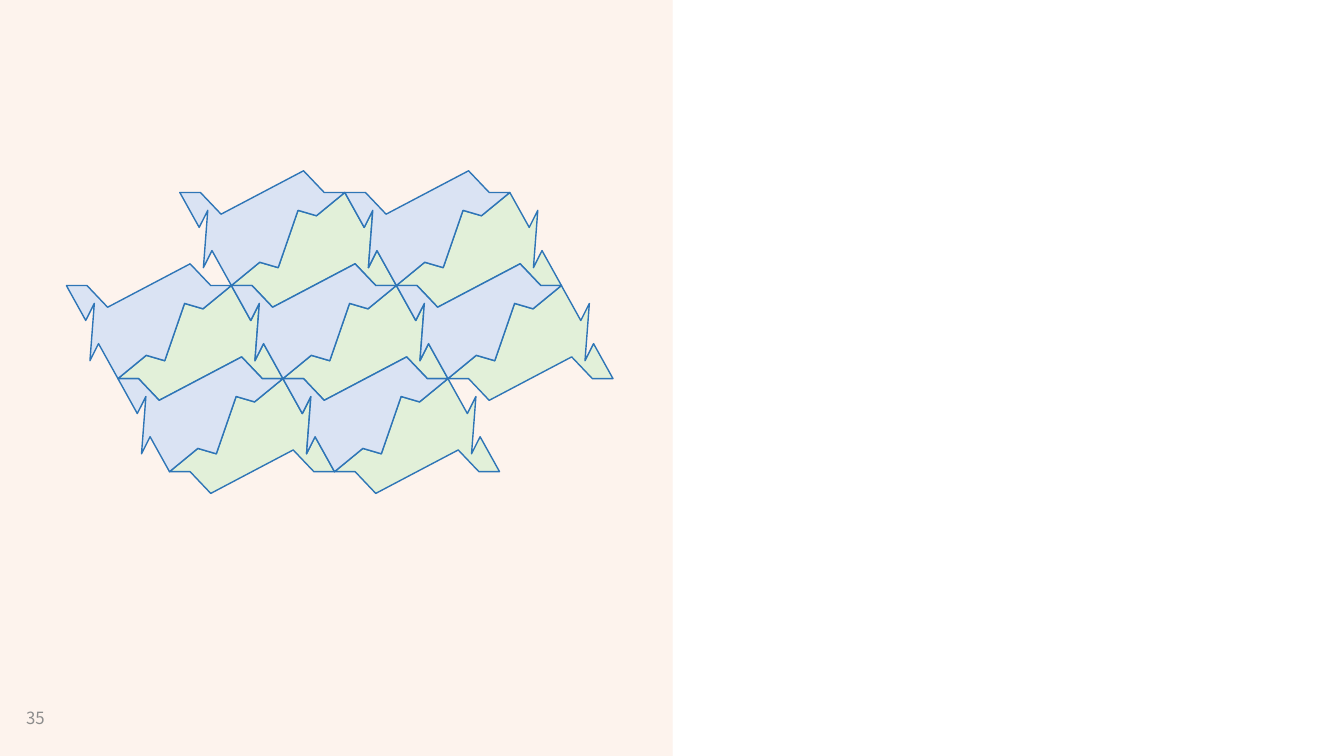
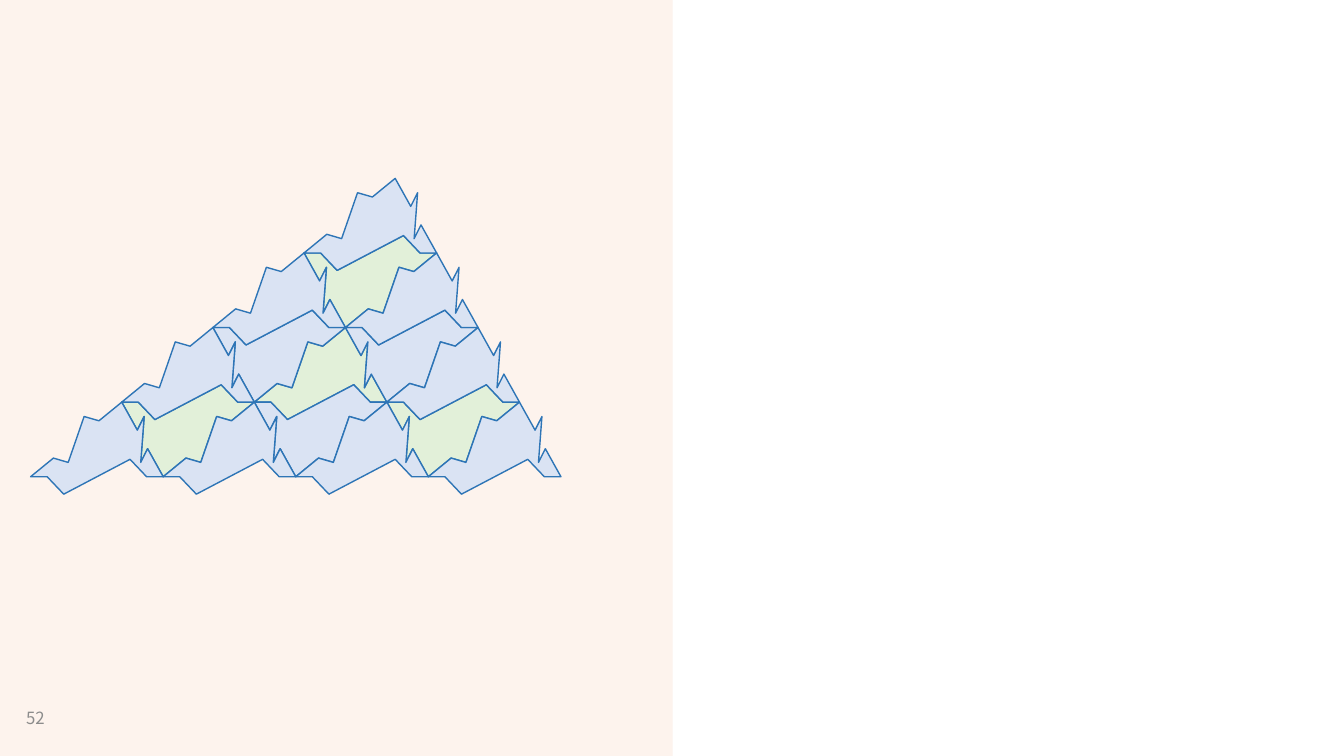
from pptx import Presentation
from pptx.dml.color import RGBColor
from pptx.enum.shapes import MSO_CONNECTOR, MSO_SHAPE
from pptx.enum.text import MSO_ANCHOR
from pptx.oxml.ns import qn
from pptx.util import Inches, Pt

PEACH = RGBColor(0xF4, 0xB1, 0x83)
PALE_PEACH = RGBColor(0xFB, 0xE5, 0xD6)
GRAY = RGBColor(0x8C, 0x8C, 0x8C)
BLUE = RGBColor(0xDA, 0xE3, 0xF3)
GREEN = RGBColor(0xE2, 0xF0, 0xD9)
OUTLINE = RGBColor(0x2E, 0x75, 0xB6)
FONT = "Noto Sans CJK SC"

# A tile is a triangle, 16 units wide and 9 high, with its apex at (0, 0).
# Each edge has two bends before its middle, given from the edge's start,
# and is symmetric about that middle.
TILE_W, TILE_H = 16, 9
APEX, LEFT, RIGHT = (0, 0), (-11, 9), (5, 9)
EDGES = [
    (APEX, LEFT, [(-2.75, 2.25), (-4.54, 1.73)]),
    (LEFT, RIGHT, [(2, 0), (4, 2.1)]),
    (RIGHT, APEX, [(-1.88, -3.38), (-2.71, -1.73)]),
]
UP, DOWN = 1, -1


def tile_outline():
    points = []
    for (x0, y0), (x1, y1), bends in EDGES:
        points.append((x0, y0))
        points += [(x0 + dx, y0 + dy) for dx, dy in bends]
        points.append(((x0 + x1) / 2, (y0 + y1) / 2))
        points += [(x1 - dx, y1 - dy) for dx, dy in reversed(bends)]
    return points


def set_alpha(fill, percent):
    clr = fill._xPr.find(qn("a:solidFill"))[0]
    clr.append(clr.makeelement(qn("a:alpha"), {"val": str(percent * 1000)}))


class Deck:
    def __init__(self):
        self.prs = Presentation()
        self.prs.slide_width = Inches(13.33)
        self.prs.slide_height = Inches(7.5)
        self.s = None

    def new_slide(self, number):
        self.s = self.prs.slides.add_slide(self.prs.slide_layouts[6])
        self.panel()
        self.page_number(number)

    def panel(self):
        # Tinted left half with a hairline at its edge
        mid, height = Inches(6.67), self.prs.slide_height
        sp = self.s.shapes.add_shape(MSO_SHAPE.RECTANGLE, 0, 0, mid, height)
        sp.shadow.inherit = False
        sp.fill.solid()
        sp.fill.fore_color.rgb = PEACH
        set_alpha(sp.fill, 14)
        sp.line.fill.background()
        ln = self.s.shapes.add_connector(MSO_CONNECTOR.STRAIGHT, mid, height, mid, 0)
        ln.line.color.rgb = PALE_PEACH
        ln.line.width = Pt(0.25)
        set_alpha(ln.line.fill, 50)
        sp_pr = ln._element.spPr
        sp_pr.append(sp_pr.makeelement(qn("a:effectLst"), {}))

    def page_number(self, number):
        sp = self.s.shapes.add_textbox(Inches(0.16), Inches(6.93), Inches(0.67), Inches(0.39))
        tf = sp.text_frame
        tf.word_wrap = True
        tf.vertical_anchor = MSO_ANCHOR.MIDDLE
        r = tf.paragraphs[0].add_run()
        r.text = str(number)
        r.font.size = Pt(12)
        r.font.name = FONT
        r.font.color.rgb = GRAY

    def set_grid(self, x, y, tile_w, tile_h):
        # Apex of cell (0, 0) and the size of one tile, in inches
        self.x, self.y = x, y
        self.unit_x, self.unit_y = tile_w / TILE_W, tile_h / TILE_H

    def tile(self, col, row, way, color):
        """A DOWN tile is the cell's UP tile turned about its left edge's middle."""
        ax, ay = col * TILE_W + row * RIGHT[0], row * TILE_H
        points = []
        for px, py in tile_outline():
            if way == DOWN:
                px, py = LEFT[0] - px, LEFT[1] - py
            points.append((Inches(self.x + (ax + px) * self.unit_x),
                           Inches(self.y + (ay + py) * self.unit_y)))
        fb = self.s.shapes.build_freeform(*points[0])
        fb.add_line_segments(points[1:], close=True)
        sp = fb.convert_to_shape()
        sp.shadow.inherit = False
        sp.fill.solid()
        sp.fill.fore_color.rgb = color
        sp.line.color.rgb = OUTLINE
        sp.line.width = Pt(1)
        return sp

    def pair(self, col, row):
        # Two tiles that share a left edge
        self.s.shapes.add_group_shape([self.tile(col, row, UP, GREEN),
                                       self.tile(col, row, DOWN, BLUE)])

    def four_tiles(self, col, row, way):
        # A green tile with its three neighbours: a triangle of twice the size
        cells = [(col, row), (col + way, row), (col, row + way)]
        tiles = [self.tile(col, row, way, GREEN)]
        tiles += [self.tile(c, r, -way, BLUE) for c, r in cells]
        self.s.shapes.add_group_shape(tiles)


def main():
    deck = Deck()

    # Hexagonal patch of seven pairs
    deck.new_slide(35)
    deck.set_grid(3.42, 1.91, 4.91 / 3, 2.77 / 3)
    for row, cols in enumerate([(0, 1), (-1, 0, 1), (-1, 0)]):
        for col in cols:
            deck.pair(col, row)

    # Large triangle made of four smaller ones
    deck.new_slide(52)
    deck.set_grid(3.92, 1.77, 5.26 / 4, 2.96 / 4)
    deck.four_tiles(-1, 2, UP)
    for col, row in [(0, 3), (0, 1), (-2, 3)]:
        deck.four_tiles(col, row, DOWN)

    deck.prs.save("out.pptx")


if __name__ == "__main__":
    main()
